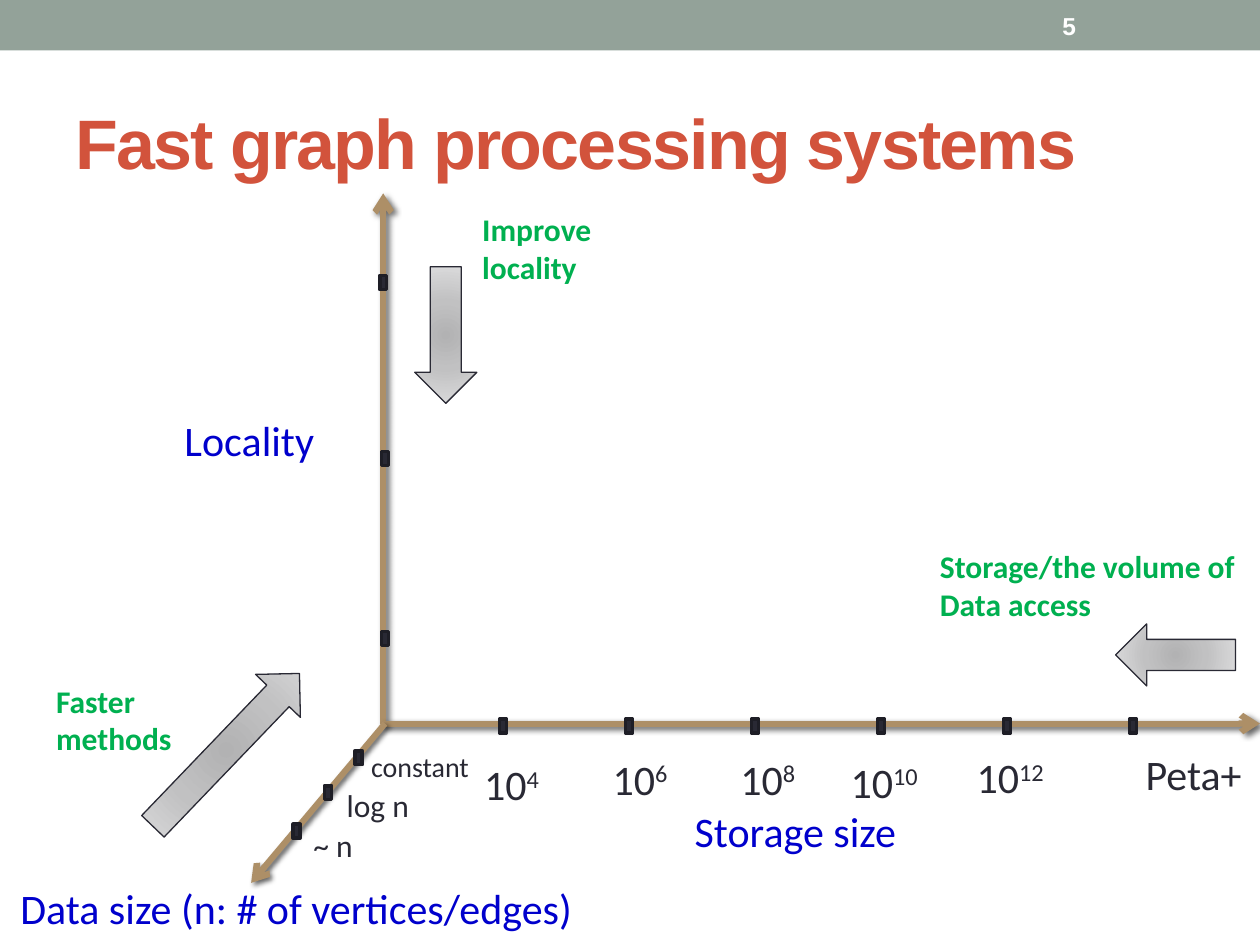
from lxml import etree
from pptx import Presentation
from pptx.dml.color import RGBColor
from pptx.enum.shapes import MSO_CONNECTOR, MSO_SHAPE
from pptx.enum.text import MSO_ANCHOR, MSO_AUTO_SIZE, PP_ALIGN
from pptx.oxml import parse_xml
from pptx.util import Pt

LINE = MSO_CONNECTOR.STRAIGHT
RECTANGLE, DOWN_ARROW = MSO_SHAPE.RECTANGLE, MSO_SHAPE.DOWN_ARROW
MIDDLE, NO_RESIZE = MSO_ANCHOR.MIDDLE, MSO_AUTO_SIZE.NONE
LEFT, CENTER = PP_ALIGN.LEFT, PP_ALIGN.CENTER

DRAWING = "http://schemas.openxmlformats.org/drawingml/2006/main"
SAGE, RUST, TAN, INK, TICK_EDGE = "93A299", "D2533C", "AD8F67", "292934", "1E1E26"
BLUE, GREEN, WHITE = "0000CC", "00B050", "FFFFFF"
ARROW_STOPS = [(0, "B2B2B3"), (45, "C1C1C2"), (100, "DDDDDE")]


def color(value):
    return RGBColor.from_string(value)


def set_font(para, size, value, name="Calibri", bold=False):
    font = para.font
    font.size, font.name, font.bold = Pt(size), name, bold
    font.color.rgb = color(value)


def add_text(page, left, top, width, height, lines, size, value,
             align=LEFT, bold=False, wrap=False, name="Calibri"):
    box = page.shapes.add_textbox(Pt(left), Pt(top), Pt(width), Pt(height))
    frame = box.text_frame
    frame.word_wrap = wrap
    for index, line in enumerate(lines):
        para = frame.add_paragraph() if index else frame.paragraphs[0]
        para.text = line
        para.alignment = align
        set_font(para, size, value, name, bold)
    return box


def add_axis_title(page, left, top, width, text):
    add_text(page, left, top, width, 36, [text], 24, BLUE, CENTER)


def add_note(page, left, top, width, lines, wrap=False):
    add_text(page, left, top, width, 51, lines, 18, GREEN, bold=True, wrap=wrap)


def add_power(page, left, top, exponent):
    box = add_text(page, left, top, 48 if len(exponent) == 1 else 55.5, 36.5,
                   ["10"], 24, INK)
    span = box.text_frame.paragraphs[0].add_run()
    span.text = exponent
    span.font._element.set("baseline", "30000")


def add_axis(page, start_x, start_y, end_x, end_y):
    axis = page.shapes.add_connector(LINE, Pt(start_x), Pt(start_y), Pt(end_x), Pt(end_y))
    axis.line.color.rgb = color(TAN)
    axis.line.width = Pt(3.5)
    properties = axis._element.spPr
    etree.SubElement(axis.line._get_or_add_ln(), f"{{{DRAWING}}}tailEnd", type="arrow")
    properties.append(parse_xml(
        f'<a:effectLst xmlns:a="{DRAWING}"><a:outerShdw blurRad="{Pt(3)}" dist="{Pt(2)}" '
        'dir="2700000" rotWithShape="0"><a:srgbClr val="000000"><a:alpha val="60000"/>'
        '</a:srgbClr></a:outerShdw></a:effectLst>'))


def add_ticks(page, centers):
    for x, y in centers:
        tick = page.shapes.add_shape(RECTANGLE, Pt(x - 2), Pt(y - 4), Pt(4), Pt(8))
        tick.shadow.inherit = False
        tick.fill.solid()
        tick.fill.fore_color.rgb = color(INK)
        tick.line.color.rgb = color(TICK_EDGE)
        tick.line.width = Pt(2.08)


def add_block_arrow(page, left, top, length, rotation=0):
    arrow = page.shapes.add_shape(DOWN_ARROW, Pt(left), Pt(top), Pt(35.5), Pt(length))
    arrow.rotation = rotation
    arrow.shadow.inherit = False
    arrow.line.color.rgb = color(INK)
    arrow.line.width = Pt(0.75)
    stops = "".join(f'<a:gs pos="{position * 1000}"><a:srgbClr val="{value}"/></a:gs>'
                    for position, value in ARROW_STOPS)
    geometry = arrow._element.spPr.find(f"{{{DRAWING}}}prstGeom")
    geometry.addnext(parse_xml(
        f'<a:gradFill xmlns:a="{DRAWING}" rotWithShape="1"><a:gsLst>{stops}</a:gsLst>'
        '<a:path path="circle"><a:fillToRect l="100000" t="100000" r="100000" b="100000"/>'
        '</a:path></a:gradFill>'))


def add_header(page, width):
    # Band and page number
    band = page.shapes.add_shape(RECTANGLE, 0, 0, Pt(width), Pt(28.8))
    band.shadow.inherit = False
    band.fill.solid()
    band.fill.fore_color.rgb = color(SAGE)
    band.line.fill.background()
    number = add_text(page, width - 120, 1.5, 84, 26, ["5"], 14, WHITE,
                      bold=True, wrap=True, name="Arial")
    number.text_frame.vertical_anchor = MIDDLE

    # Title
    title = page.shapes.title
    title.left, title.top, title.width, title.height = Pt(36), Pt(42), Pt(width - 72), Pt(78)
    frame = title.text_frame
    frame.text = "Fast graph processing systems"
    frame.vertical_anchor, frame.auto_size = MIDDLE, NO_RESIZE
    para = frame.paragraphs[0]
    para.alignment = LEFT
    set_font(para, 40, RUST, "Arial", True)
    para.runs[0].font._element.set("spc", "-100")


def add_locality_axis(page, x, y):
    add_axis(page, x, y, x, y - 303)
    add_ticks(page, [(x + 1, y - 48.5), (x + 1, y - 151.5), (x, y - 252)])
    add_axis_title(page, x - 121, y - 180, 89, "Locality")
    add_block_arrow(page, x + 18, y - 261, 78)
    add_note(page, x + 49.5, y - 297, 77, ["Improve", "locality"])


def add_storage_axis(page, x, y):
    add_axis(page, x, y, x + 501, y)
    add_ticks(page, [(x + 68.5 + 72 * step, y + 1.5) for step in range(6)])
    for left, top, exponent in [(50.5, 16.5, "4"), (124, 13.5, "6"), (197, 13.5, "8"),
                                (260, 15, "10"), (332, 12.5, "12")]:
        add_power(page, x + left, y + top, exponent)
    add_text(page, x + 428.5, y + 10.5, 70, 36.5, ["Peta+"], 24, INK)
    add_axis_title(page, x + 170, y + 43.5, 131, "Storage size")
    add_block_arrow(page, x + 435, y - 73.5, 68.5, 90)
    add_note(page, x + 311, y - 104.5, 189.5, ["Storage/the volume of Data access"], wrap=True)


def add_data_axis(page, x, y):
    add_axis(page, x + 1, y, x - 75.5, y + 91)
    add_ticks(page, [(x - 14, y + 19.5), (x - 31.5, y + 39.5), (x - 49.5, y + 61.5)])
    for left, top, width, text, size in [(-14, 11.5, 71, "constant", 16),
                                         (-28, 32, 50.5, "log n", 18),
                                         (-47, 55, 37.5, "~ n", 18)]:
        add_text(page, x + left, y + top, width, 28, [text], size, INK)
    add_axis_title(page, x - 216, y + 87, 332.5, "Data size (n: # of vertices/edges)")
    add_block_arrow(page, x - 107.5, y - 45.5, 121, 223.8)
    add_note(page, x - 194, y - 27.5, 80.5, ["Faster", "methods"])


def main():
    deck = Presentation()
    deck.slide_width, deck.slide_height = Pt(720), Pt(540)
    page = deck.slides.add_slide(deck.slide_layouts[5])
    add_header(page, 720)
    for add_region in (add_locality_axis, add_storage_axis, add_data_axis):
        add_region(page, 219, 413.5)
    deck.save("out.pptx")


if __name__ == "__main__":
    main()
